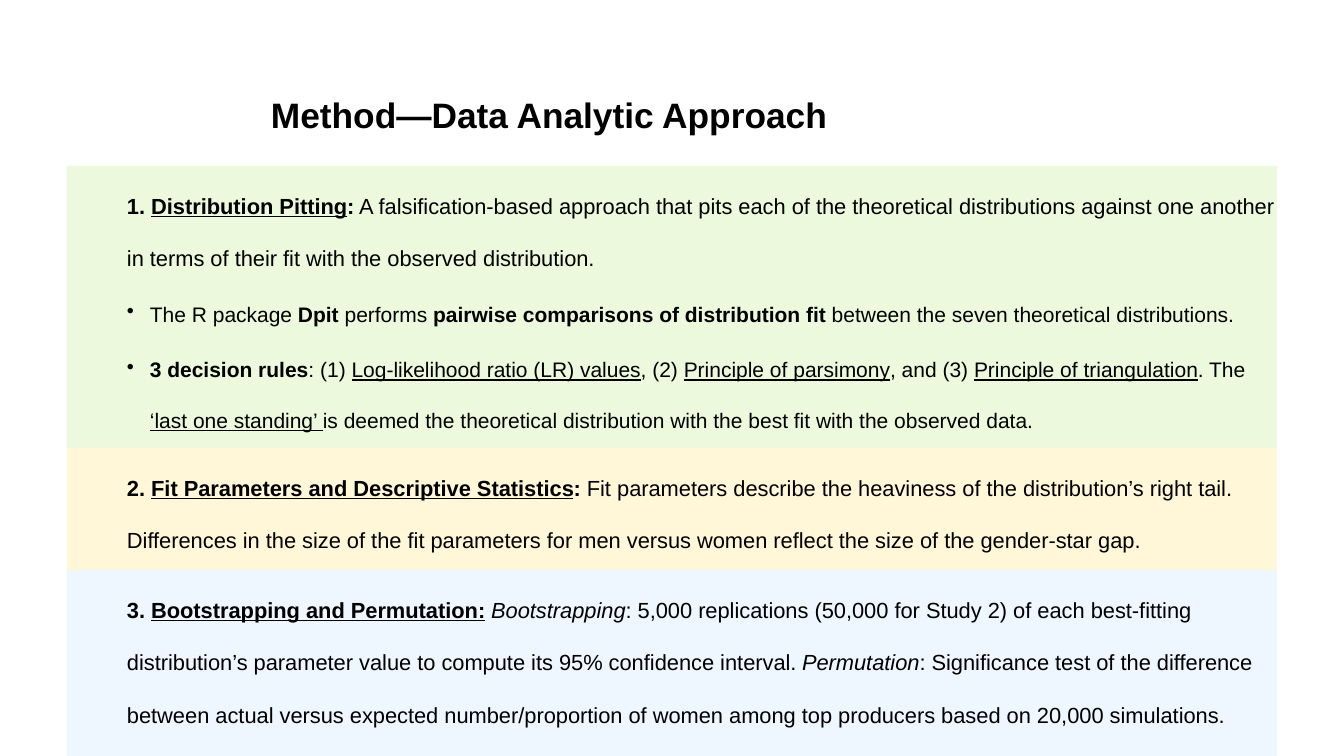
from lxml import etree
from pptx import Presentation
from pptx.dml.color import RGBColor
from pptx.enum.shapes import MSO_SHAPE
from pptx.enum.text import MSO_ANCHOR
from pptx.oxml.ns import qn
from pptx.util import Pt

RECTANGLE = MSO_SHAPE.RECTANGLE
TOP, BOTTOM = MSO_ANCHOR.TOP, MSO_ANCHOR.BOTTOM

PX = 914400 / 121
SLIDE_WIDTH, SLIDE_HEIGHT = 1344, 756
PANEL_LEFT, PANEL_TOP, PANEL_WIDTH = 67, 166, 1210
TEXT_INDENT, BULLET_INDENT, BULLET_HANG = 60, 83, 23
BLACK = "000000"

TITLE = "Method—Data Analytic Approach"
TITLE_BOX = (271, 54, 986, 82)

# A span is (text, style), where style letters mean b bold, i italic, u underlined.
# A paragraph is (is bullet, space before in points, spans).
PANELS = [
    {"height": 282, "color": "E5F7CE", "opacity": 70, "paragraphs": [
        (False, 3, [
            ("1. ", "b"), ("Distribution Pitting", "bu"), (":", "b"),
            (" A falsification-based approach that pits each of the theoretical distributions "
             "against one another in terms of their fit with the observed distribution.", "")]),
        (True, 3, [
            ("The R package ", ""), ("Dpit", "b"), (" performs ", ""),
            ("pairwise comparisons of distribution fit", "b"),
            (" between the seven theoretical distributions.", "")]),
        (True, 3, [
            ("3 decision rules", "b"), (": (1) ", ""),
            ("Log-likelihood ratio (LR) values", "u"), (", (2) ", ""),
            ("Principle of parsimony", "u"), (", and (3) ", ""),
            ("Principle of triangulation", "u"), (". The ", ""),
            ("‘last one standing’ ", "u"),
            ("is deemed the theoretical distribution with the best fit "
             "with the observed data.", "")]),
    ]},
    {"height": 122, "color": "FFF5CC", "opacity": 75, "paragraphs": [
        (False, 3, [
            ("2. ", "b"), ("Fit Parameters and Descriptive Statistics", "bu"), (": ", "b"),
            ("Fit parameters describe the heaviness of the distribution’s right tail. "
             "Differences in the size of the fit parameters for men versus women reflect "
             "the size of the gender-star gap.", "")]),
    ]},
    {"height": 186, "color": "BEDFFF", "opacity": 25, "paragraphs": [
        (False, 0, [
            ("3. ", "b"), ("Bootstrapping and Permutation:", "bu"), (" ", ""),
            ("Bootstrapping", "i"),
            (": 5,000 replications (50,000 for Study 2) of each best-fitting distribution’s "
             "parameter value to compute its 95% confidence interval. ", ""),
            ("Permutation", "i"),
            (": Significance test of the difference between actual versus expected "
             "number/proportion of women among top producers based on 20,000 simulations.", "")]),
    ]},
]


def px(length):
    return round(length * PX)


def rgb(color):
    return RGBColor.from_string(color)


def prepare_frame(shape, anchor):
    frame = shape.text_frame
    frame.word_wrap = True
    frame.vertical_anchor = anchor
    frame.margin_left = frame.margin_right = frame.margin_top = frame.margin_bottom = 0
    return frame


def set_font(paragraph, size):
    font = paragraph.font
    font.name, font.size = "Arial", Pt(size)
    font.color.rgb = rgb(BLACK)


def set_indent(paragraph, is_bullet):
    """Indent a paragraph, hanging a bullet in front of it if it has one."""
    properties = paragraph._p.get_or_add_pPr()
    properties.set("marL", str(px(BULLET_INDENT if is_bullet else TEXT_INDENT)))
    properties.set("indent", str(px(-BULLET_HANG if is_bullet else 0)))
    properties.set("algn", "l")
    if is_bullet:
        bullet = etree.Element(qn("a:buChar"), char="•")
        properties.find(qn("a:defRPr")).addprevious(bullet)


def fill_paragraph(paragraph, is_bullet, space_before, spans):
    paragraph.line_spacing = 2.0
    paragraph.space_before = Pt(space_before)
    set_font(paragraph, 12.5 if is_bullet else 13)
    set_indent(paragraph, is_bullet)
    for text, style in spans:
        span = paragraph.add_run()
        span.text = text
        span.font.bold = "b" in style
        span.font.italic = "i" in style
        span.font.underline = "u" in style


def add_title(page):
    box = page.shapes.add_textbox(*map(px, TITLE_BOX))
    para = prepare_frame(box, BOTTOM).paragraphs[0]
    para.text = TITLE
    para.space_after = Pt(6)
    set_font(para, 21)
    para.font.bold = True


def add_panel(page, top, panel):
    box = page.shapes.add_shape(
        RECTANGLE, px(PANEL_LEFT), px(top), px(PANEL_WIDTH), px(panel["height"]))
    box.shadow.inherit = False
    box.line.fill.background()
    box.fill.solid()
    box.fill.fore_color.rgb = rgb(panel["color"])
    color = box._element.spPr.find(qn("a:solidFill")).find(qn("a:srgbClr"))
    etree.SubElement(color, qn("a:alpha"), val=str(panel["opacity"] * 1000))

    frame = prepare_frame(box, TOP)
    for index, content in enumerate(panel["paragraphs"]):
        para = frame.add_paragraph() if index else frame.paragraphs[0]
        fill_paragraph(para, *content)


def main():
    deck = Presentation()
    deck.slide_width, deck.slide_height = px(SLIDE_WIDTH), px(SLIDE_HEIGHT)
    page = deck.slides.add_slide(deck.slide_layouts[6])
    add_title(page)
    top = PANEL_TOP
    for panel in PANELS:
        add_panel(page, top, panel)
        top += panel["height"]
    deck.save("out.pptx")


if __name__ == "__main__":
    main()
